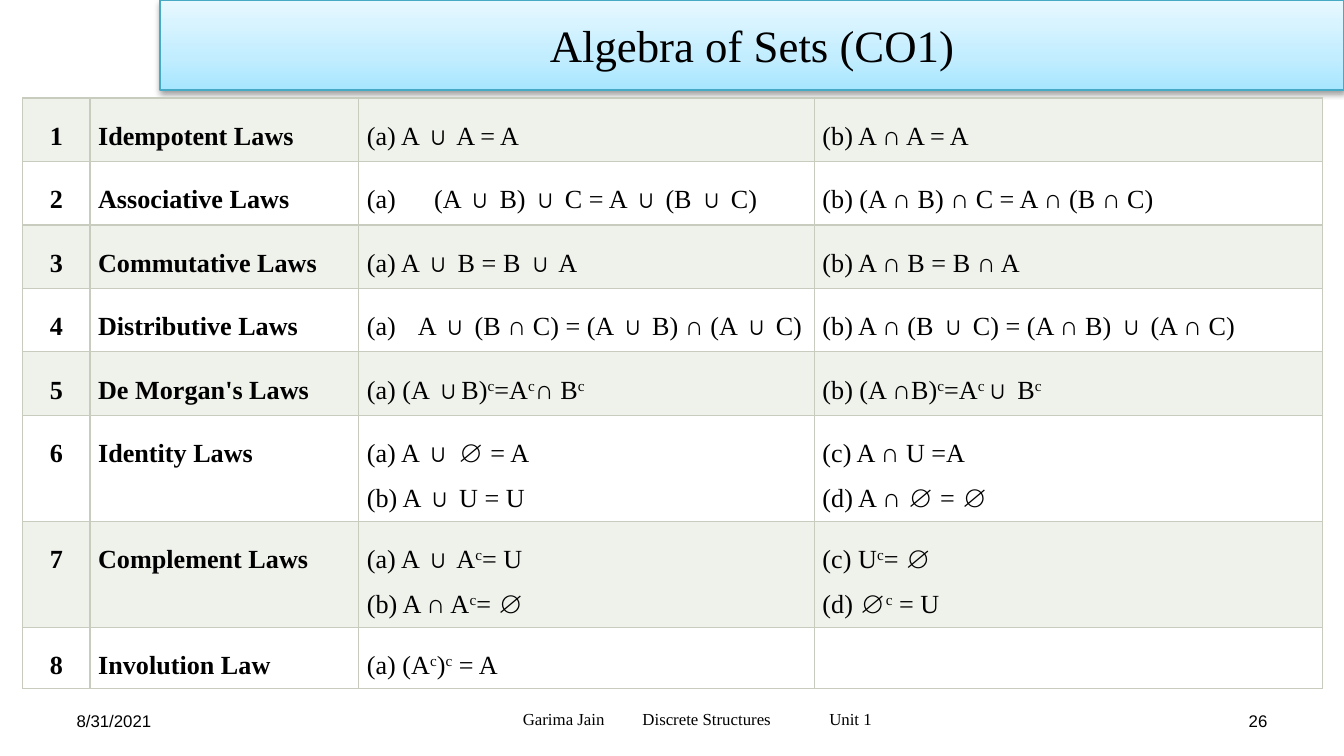
from lxml.etree import SubElement, fromstring
from pptx import Presentation
from pptx.dml.color import RGBColor
from pptx.enum.text import MSO_ANCHOR, PP_ALIGN
from pptx.oxml.ns import qn
from pptx.util import Inches, Pt

NAMESPACE = "http://schemas.openxmlformats.org/drawingml/2006/main"
SERIF = "Times New Roman"
BLACK = "000000"
TITLE = "Algebra of Sets (CO1)"
LAWS = [
    ("Idempotent Laws", "(a) A ∪ A = A", "(b) A ∩ A = A"),
    ("Associative Laws", "(A ∪ B) ∪ C = A ∪ (B ∪ C)", "(b) (A ∩ B) ∩ C = A ∩ (B ∩ C)"),
    ("Commutative Laws", "(a) A ∪ B = B ∪ A", "(b) A ∩ B = B ∩ A"),
    ("Distributive Laws", "A ∪ (B ∩ C) = (A ∪ B) ∩ (A ∪ C)",
     "(b) A ∩ (B ∪ C) = (A ∩ B) ∪ (A ∩ C)"),
    ("De Morgan's Laws", "(a) (A ∪B)^c^=A^c^∩ B^c", "(b) (A ∩B)^c^=A^c^∪ B^c"),
    ("Identity Laws", "(a) A ∪ ∅ = A\n(b) A ∪ U = U", "(c) A ∩ U =A\n(d) A ∩ ∅ = ∅"),
    ("Complement Laws", "(a) A ∪ A^c^= U\n(b) A ∩ A^c^= ∅", "(c) U^c^= ∅\n(d) ∅^c^ = U"),
    ("Involution Law", "(a) (A^c^)^c^ = A", ""),
]
NUMBERED_INDENTS = {"Associative Laws": 0.5, "Distributive Laws": 0.38}
COLUMN_WIDTHS = [0.5, 2, 3.39, 3.78]
ROW_POINTS = [34] * 5 + [56.8] * 2 + [33]
ROW_FILLS = ["EFF1EB", "FFFFFF"]
FOOTERS = [
    ("8/31/2021", "Arial", PP_ALIGN.LEFT, (0.5, 5.21, 2.33, 0.3), 0.07),
    ("26", "Arial", PP_ALIGN.RIGHT, (7.17, 5.21, 2.33, 0.3), 0.07),
    ("Garima Jain\tDiscrete Structures\tUnit 1", SERIF, PP_ALIGN.LEFT,
     (3.12, 5.2, 4.12, 0.3), 0.77),
]
FOOTER_TABS = [0.89, 2.28]
GRADIENT = f"""<a:gradFill xmlns:a="{NAMESPACE}" rotWithShape="1"><a:gsLst>
<a:gs pos="0"><a:srgbClr val="A7E6FF"/></a:gs>
<a:gs pos="35000"><a:srgbClr val="C1EDFF"/></a:gs>
<a:gs pos="100000"><a:srgbClr val="E7F8FF"/></a:gs>
</a:gsLst><a:lin ang="16200000" scaled="0"/></a:gradFill>"""
SHADOW = f"""<a:effectLst xmlns:a="{NAMESPACE}">
<a:outerShdw blurRad="40000" dist="20000" dir="5400000" rotWithShape="0">
<a:srgbClr val="000000"><a:alpha val="38000"/></a:srgbClr></a:outerShdw></a:effectLst>"""


def color(value):
    return RGBColor.from_string(value)


def add_text(paragraph, text, size, font=SERIF, bold=False):
    for index, part in enumerate(text.split("^")):
        for line_number, line in enumerate(part.split("\n")):
            if line_number:
                paragraph.add_line_break()
            run = paragraph.add_run()
            run.text = line
            run.font.name = font
            run.font.size = Pt(size)
            run.font.bold = bold
            run.font.color.rgb = color(BLACK)
            if index % 2:
                run.font._element.set("baseline", "30000")


def set_margins(frame, horizontal, vertical):
    frame.margin_left = frame.margin_right = Inches(horizontal)
    frame.margin_top = frame.margin_bottom = Inches(vertical)


def add_title(slide):
    title = slide.shapes.title
    title.left, title.top, title.width, title.height = map(Inches, (1.19, 0, 8.81, 0.67))
    title.line.color.rgb = color("46AAC5")
    title.line.width = Pt(0.75)
    properties = title._element.spPr
    properties.find(qn("a:ln")).addprevious(fromstring(GRADIENT))
    properties.append(fromstring(SHADOW))
    frame = title.text_frame
    frame.vertical_anchor = MSO_ANCHOR.MIDDLE
    set_margins(frame, 0.07, 0.04)
    paragraph = frame.paragraphs[0]
    paragraph.alignment = PP_ALIGN.CENTER
    add_text(paragraph, TITLE, 24)


def add_footer(slide, text, font, alignment, place, left_margin):
    frame = slide.shapes.add_textbox(*map(Inches, place)).text_frame
    frame.word_wrap = True
    frame.vertical_anchor = MSO_ANCHOR.MIDDLE
    set_margins(frame, 0.07, 0.04)
    frame.margin_left = Inches(left_margin)
    paragraph = frame.paragraphs[0]
    paragraph.alignment = alignment
    if "\t" in text:
        tabs = SubElement(paragraph._p.get_or_add_pPr(), qn("a:tabLst"))
        for position in FOOTER_TABS:
            SubElement(tabs, qn("a:tab"), pos=str(Inches(position)), algn="l")
    add_text(paragraph, text, 9, font)


def set_borders(cell):
    properties = cell._tc.get_or_add_tcPr()
    for index, side in enumerate(("lnL", "lnR", "lnT", "lnB")):
        border = fromstring(
            f'<a:{side} xmlns:a="{NAMESPACE}" w="9525"><a:solidFill>'
            f'<a:srgbClr val="C7CCBE"/></a:solidFill></a:{side}>')
        properties.insert(index, border)


def set_numbering(paragraph, indent):
    properties = paragraph._p.get_or_add_pPr()
    properties.set("marL", str(Inches(indent)))
    properties.set("indent", str(-Inches(indent)))
    SubElement(properties, qn("a:buAutoNum"), type="alphaLcParenBoth")


def fill_cell(cell, text, fill, column, indent):
    cell.fill.solid()
    cell.fill.fore_color.rgb = color(fill)
    set_borders(cell)
    set_margins(cell, 0.06, 0.06)
    if not text:
        return
    paragraph = cell.text_frame.paragraphs[0]
    paragraph.alignment = PP_ALIGN.CENTER if column == 0 else PP_ALIGN.LEFT
    paragraph.line_spacing = Pt(24)
    if column == 2 and indent:
        set_numbering(paragraph, indent)
    add_text(paragraph, text, 14, bold=column < 2)


def add_laws(slide):
    table = slide.shapes.add_table(
        len(LAWS), len(COLUMN_WIDTHS), Inches(0.17), Inches(0.73),
        Inches(sum(COLUMN_WIDTHS)), Pt(sum(ROW_POINTS))).table
    table.first_row = table.horz_banding = False
    for column, width in zip(table.columns, COLUMN_WIDTHS):
        column.width = Inches(width)
    for row, law in enumerate(LAWS):
        table.rows[row].height = Pt(ROW_POINTS[row])
        for column, text in enumerate((str(row + 1), *law)):
            fill_cell(table.cell(row, column), text, ROW_FILLS[row % 2], column,
                      NUMBERED_INDENTS.get(law[0]))


def main():
    presentation = Presentation()
    presentation.slide_width = Inches(10)
    presentation.slide_height = presentation.slide_width * 9 // 16
    slide = presentation.slides.add_slide(presentation.slide_layouts[5])
    add_title(slide)
    for footer in FOOTERS:
        add_footer(slide, *footer)
    add_laws(slide)
    presentation.save("out.pptx")


if __name__ == "__main__":
    main()
